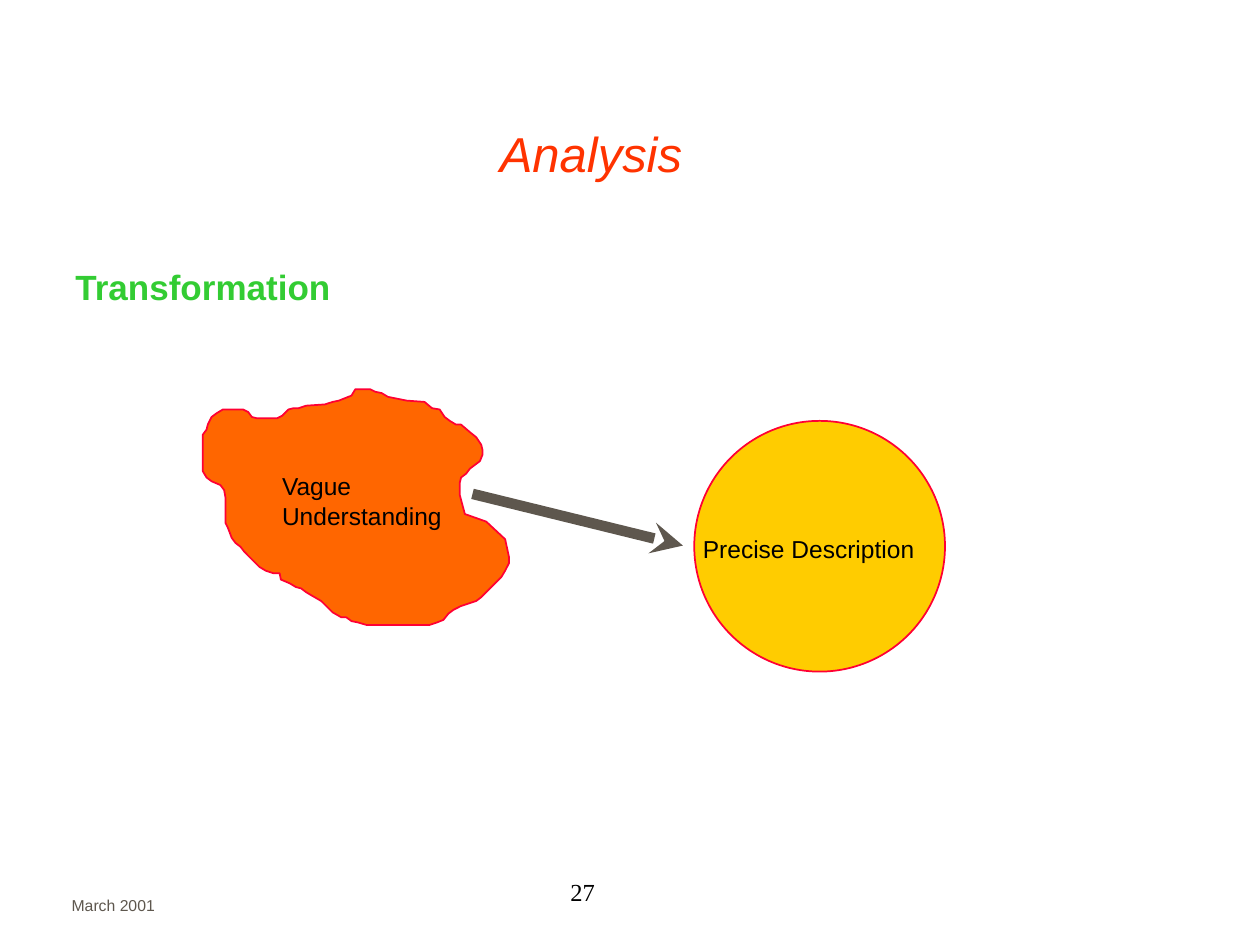
from lxml import etree
from pptx import Presentation
from pptx.dml.color import RGBColor
from pptx.enum.shapes import MSO_CONNECTOR, MSO_SHAPE
from pptx.enum.text import MSO_ANCHOR, PP_ALIGN
from pptx.oxml.ns import qn
from pptx.util import Inches, Pt

OVAL = MSO_SHAPE.OVAL
STRAIGHT = MSO_CONNECTOR.STRAIGHT
TOP, MIDDLE, BOTTOM = MSO_ANCHOR.TOP, MSO_ANCHOR.MIDDLE, MSO_ANCHOR.BOTTOM
LEFT, CENTER = PP_ALIGN.LEFT, PP_ALIGN.CENTER

RED = RGBColor(0xFF, 0x33, 0x00)
GREEN = RGBColor(0x33, 0xCC, 0x33)
ORANGE = RGBColor(0xFF, 0x66, 0x00)
YELLOW = RGBColor(0xFF, 0xCC, 0x00)
OUTLINE = RGBColor(0xFF, 0x00, 0x33)
GREY = RGBColor(0x5E, 0x57, 0x4E)
BLACK = RGBColor(0x00, 0x00, 0x00)

# Outline of the vague blob, in hundredths of an inch
BLOB = [
    (183, 325), (177, 325), (172, 328), (168, 331), (165, 337), (164, 341),
    (161, 345), (161, 374), (164, 379), (168, 382), (175, 385), (178, 389),
    (179, 395), (179, 415), (181, 419), (184, 427), (187, 431), (191, 434),
    (194, 438), (200, 444), (206, 450), (211, 453), (217, 455), (222, 455),
    (223, 460), (230, 463), (235, 466), (239, 467), (243, 470), (248, 473),
    (255, 477), (259, 481), (264, 486), (271, 490), (275, 490), (279, 493),
    (284, 494), (291, 496), (341, 496), (347, 494), (352, 492), (356, 487),
    (360, 484), (366, 481), (372, 479), (378, 477), (382, 474), (388, 468),
    (392, 464), (398, 458), (401, 453), (404, 447), (404, 442), (401, 428),
    (386, 414), (369, 408), (365, 393), (365, 383), (366, 379), (370, 376),
    (373, 372), (381, 366), (383, 361), (383, 357), (382, 353), (378, 347),
    (373, 343), (366, 337), (362, 337), (357, 334), (353, 331), (349, 325),
    (343, 324), (337, 319), (323, 318), (308, 315), (303, 312), (298, 311),
    (294, 309), (282, 309), (279, 314), (274, 316), (269, 318), (264, 319),
    (258, 321), (243, 322), (237, 324), (233, 324), (229, 325), (224, 330),
    (220, 332), (204, 332), (200, 331), (197, 327), (193, 325),
]


class SlideBuilder:
    """Holds the current slide and its common style."""

    font = "Arial"
    outline = OUTLINE
    outline_width = Pt(1)

    def __init__(self, slide):
        self.slide = slide

    def text(self, box, text, size, color, align=LEFT, anchor=TOP, wrap=True,
             bold=False, italic=False, font=None):
        tb = self.slide.shapes.add_textbox(*map(Inches, box))
        tf = tb.text_frame
        tf.word_wrap = wrap
        tf.vertical_anchor = anchor
        tf.text = text
        for p in tf.paragraphs:
            p.alignment = align
            for r in p.runs:
                r.font.name = font or self.font
                r.font.size = Pt(size)
                r.font.bold = bold
                r.font.italic = italic
                r.font.color.rgb = color

    def paint(self, sp, fill):
        sp.shadow.inherit = False
        sp.fill.solid()
        sp.fill.fore_color.rgb = fill
        sp.line.color.rgb = self.outline
        sp.line.width = self.outline_width

    def shape(self, kind, box, fill):
        self.paint(self.slide.shapes.add_shape(kind, *map(Inches, box)), fill)

    def freeform(self, points, fill):
        builder = self.slide.shapes.build_freeform(*points[0], scale=Inches(0.01))
        builder.add_line_segments(points[1:], close=True)
        self.paint(builder.convert_to_shape(), fill)

    def arrow(self, start, end, color, width):
        line = self.slide.shapes.add_connector(
            STRAIGHT, *map(Inches, start + end))
        line.line.color.rgb = color
        line.line.width = Pt(width)
        ln = line.line._get_or_add_ln()
        etree.SubElement(ln, qn("a:tailEnd"), type="stealth")
        etree.SubElement(line._element.spPr, qn("a:effectLst"))


def main():
    prs = Presentation()
    prs.slide_width, prs.slide_height = Inches(10), Inches(7.5)
    s = SlideBuilder(prs.slides.add_slide(prs.slide_layouts[6]))

    # Title and heading
    s.text((0.44, 0.25, 8.5, 1.25), "Analysis", 28, RED,
           align=CENTER, anchor=BOTTOM, italic=True)
    s.text((0.5, 2.06, 8.94, 4.56), "Transformation", 20, GREEN, bold=True)

    # Diagram: from vague to precise
    s.freeform(BLOB, ORANGE)
    s.shape(OVAL, (5.51, 3.34, 1.99, 1.99), YELLOW)
    s.arrow((3.75, 3.92), (5.42, 4.33), GREY, 6)
    s.text((2.14, 3.69, 1.47, 0.57), "Vague\nUnderstanding", 14, BLACK, wrap=False)
    s.text((5.48, 4.19, 1.88, 0.33), "Precise Description", 14, BLACK, wrap=False)

    # Footer
    s.text((4.25, 6.83, 0.75, 0.5), "27", 14, BLACK,
           align=CENTER, anchor=MIDDLE, font="Times New Roman")
    s.text((0.47, 6.81, 2.08, 0.5), "March 2001", 9, GREY, anchor=BOTTOM)

    prs.save("out.pptx")


if __name__ == "__main__":
    main()
